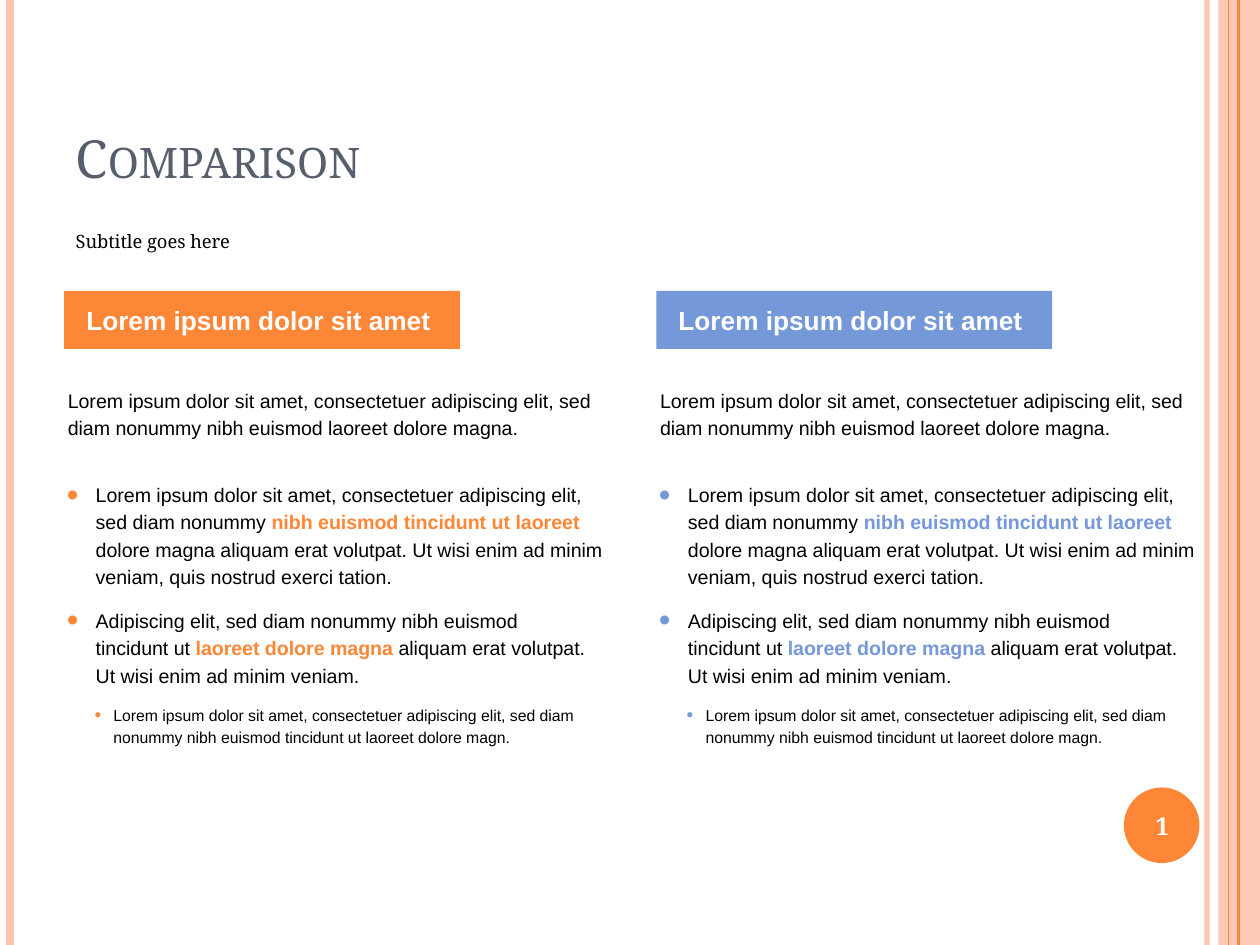
from lxml import etree
from pptx import Presentation, util as u
from pptx.dml.color import RGBColor
from pptx.enum import shapes, text
from pptx.oxml.ns import qn

COLORS = {"orange": "FE8637", "blue": "7598D9", "peach": "FEC3AE",
          "slate": "575F6D", "black": "000000", "white": "FFFFFF"}
SERIF, SANS = "Noto Serif", "Arial"
WIDTH, HEIGHT = 10, 7.5
COLUMN_PITCH = 4.7

TITLE, SUBTITLE, PAGE_NUMBER = "Comparison", "Subtitle goes here", "1"
HEADING = "Lorem ipsum dolor sit amet "
INTRO = ("Lorem ipsum dolor sit amet, consectetuer adipiscing elit, sed diam "
         "nonummy nibh euismod laoreet dolore magna.")
# Each point: level, then its runs as (words, highlighted); "\n" is a line break
POINTS = [
    (0, [("Lorem ipsum dolor sit amet, consectetuer adipiscing elit, sed diam nonummy ", False),
         ("nibh euismod tincidunt ut laoreet ", True),
         ("dolore magna aliquam erat volutpat. Ut wisi enim ad minim veniam, "
          "quis nostrud exerci tation.", False)]),
    (0, [("Adipiscing elit, sed diam nonummy nibh euismod \ntincidunt ut ", False),
         ("laoreet dolore magna ", True),
         ("aliquam erat volutpat. \nUt wisi enim ad minim veniam.", False)]),
    (1, [("Lorem ipsum dolor sit amet, consectetuer adipiscing elit, sed diam nonummy "
          "nibh euismod tincidunt ut laoreet dolore magn.", False)]),
]
# Per level: font size, left margin, hanging indent, bullet size in percent
LEVELS = [(11.2, 0.23, 0.23, 170), (9, 0.37, 0.15, 120)]
COLUMNS = [("orange", 2), ("blue", 4)]  # accent, list placeholder
# Vertical rules: x, colour, width, opacity in percent
RULES = [(9.58, "peach", 3, 93), (0.08, "peach", 4.5, 100),
         (9.83, "orange", 1.5, 100), (9.75, "orange", 0.75, 100)]


def rgb(name):
    return RGBColor.from_string(COLORS[name])


def inches(*lengths):
    return [u.Inches(length) for length in lengths]


def set_opacity(fill, percent):
    """Add alpha to the solid fill inside a shape's or line's XML element."""
    color = fill.find(qn("a:solidFill"))[0]
    etree.SubElement(color, qn("a:alpha"), val=str(percent * 1000))


def style(paragraph, size, face, color, bold=False):
    font = paragraph.font
    font.size, font.name, font.bold = u.Pt(size), face, bold
    font.color.rgb = rgb(color)


def place(shape, left, top, width, height):
    shape.left, shape.top, shape.width, shape.height = inches(left, top, width, height)
    shape.text_frame.word_wrap = True
    shape.text_frame.auto_size = text.MSO_AUTO_SIZE.NONE


def add_rule(slide, x, color, width, opacity):
    rule = slide.shapes.add_connector(shapes.MSO_CONNECTOR.STRAIGHT, *inches(x, 0, x, HEIGHT))
    rule.line.color.rgb, rule.line.width = rgb(color), u.Pt(width)
    properties = rule._element.spPr
    if opacity < 100:
        set_opacity(properties.find(qn("a:ln")), opacity)
    etree.SubElement(properties, qn("a:effectLst"))


def add_block(slide, kind, color, *box):
    block = slide.shapes.add_shape(kind, *inches(*box))
    block.shadow.inherit = False
    block.fill.solid()
    block.fill.fore_color.rgb = rgb(color)
    block.line.fill.background()
    return block


def write_centered(shape, words, size, face):
    frame = shape.text_frame
    frame.vertical_anchor = text.MSO_ANCHOR.MIDDLE
    paragraph = frame.paragraphs[0]
    paragraph.text, paragraph.alignment = words, text.PP_ALIGN.CENTER
    style(paragraph, size, face, "white", bold=True)


def add_bullet(paragraph, color, margin, hanging, percent):
    properties = paragraph._p.get_or_add_pPr()
    properties.set("marL", str(u.Inches(margin)))
    properties.set("indent", str(-u.Inches(hanging)))
    bullet_color = etree.SubElement(properties, qn("a:buClr"))
    etree.SubElement(bullet_color, qn("a:srgbClr"), val=COLORS[color])
    etree.SubElement(properties, qn("a:buSzPct"), val=str(percent * 1000))
    etree.SubElement(properties, qn("a:buFont"), typeface=SANS)
    etree.SubElement(properties, qn("a:buChar"), char="•")


def write_points(frame, accent):
    for index, (level, runs) in enumerate(POINTS):
        paragraph = frame.add_paragraph() if index else frame.paragraphs[0]
        size, *bullet = LEVELS[level]
        paragraph.level, paragraph.line_spacing = level, 1.17
        paragraph.space_before, paragraph.space_after = u.Pt(0), u.Pt(9)
        add_bullet(paragraph, accent, *bullet)
        style(paragraph, size, SANS, "black")
        for words, highlighted in runs:
            for part, line in enumerate(words.split("\n")):
                if part:
                    paragraph.add_line_break()
                run = paragraph.add_run()
                run.text = line
                if highlighted:
                    run.font.bold, run.font.color.rgb = True, rgb(accent)


def add_column(slide, index, accent, list_id):
    shift = index * COLUMN_PITCH
    intro = slide.shapes.add_textbox(0, 0, 0, 0)
    place(intro, 0.44 + shift, 3.01, 4.47, 0.53)
    paragraph = intro.text_frame.paragraphs[0]
    paragraph.text, paragraph.line_spacing = INTRO, 1.14
    style(paragraph, 11.2, SANS, "black")

    points = slide.placeholders[list_id]
    place(points, 0.43 + shift, 3.75, 4.48, 2.26)
    write_points(points.text_frame, accent)

    banner = add_block(slide, shapes.MSO_SHAPE.RECTANGLE, accent, 0.51 + shift, 2.31, 3.14, 0.46)
    write_centered(banner, HEADING, 15, SANS)


def add_headings(slide):
    title, subtitle = slide.shapes.title, slide.placeholders[1]
    place(title, 0.5, 0.3, 8.17, 1.25)
    place(subtitle, 0.5, 1.78, 9.02, 0.28)
    title.text_frame.vertical_anchor = text.MSO_ANCHOR.BOTTOM
    subtitle.text_frame.vertical_anchor = text.MSO_ANCHOR.TOP
    for shape, words, size, color in ((title, TITLE, 30, "slate"),
                                      (subtitle, SUBTITLE, 10.5, "black")):
        paragraph = shape.text_frame.paragraphs[0]
        paragraph.text, paragraph.alignment = words, text.PP_ALIGN.LEFT
        style(paragraph, size, SERIF, color)
    title.text_frame.paragraphs[0].runs[0]._r.get_or_add_rPr().set("cap", "small")
    subtitle.text_frame.paragraphs[0].space_before = u.Pt(6)


def main():
    deck = Presentation()
    deck.slide_width, deck.slide_height = inches(WIDTH, HEIGHT)
    slide = deck.slides.add_slide(deck.slide_layouts.get_by_name("Comparison"))
    spare = slide.placeholders[3]._element
    spare.getparent().remove(spare)

    side_band = add_block(slide, shapes.MSO_SHAPE.RECTANGLE, "peach", 9.67, 0, 0.33, HEIGHT)
    set_opacity(side_band._element.spPr, 87)
    for rule in RULES:
        add_rule(slide, *rule)
    add_block(slide, shapes.MSO_SHAPE.OVAL, "orange", 8.92, 6.25, 0.6, 0.6)
    page_number = slide.shapes.add_textbox(0, 0, 0, 0)
    place(page_number, 8.89, 6.27, 0.67, 0.57)
    write_centered(page_number, PAGE_NUMBER, 14, SERIF)

    add_headings(slide)
    for index, column in enumerate(COLUMNS):
        add_column(slide, index, *column)
    deck.save("out.pptx")


if __name__ == "__main__":
    main()
